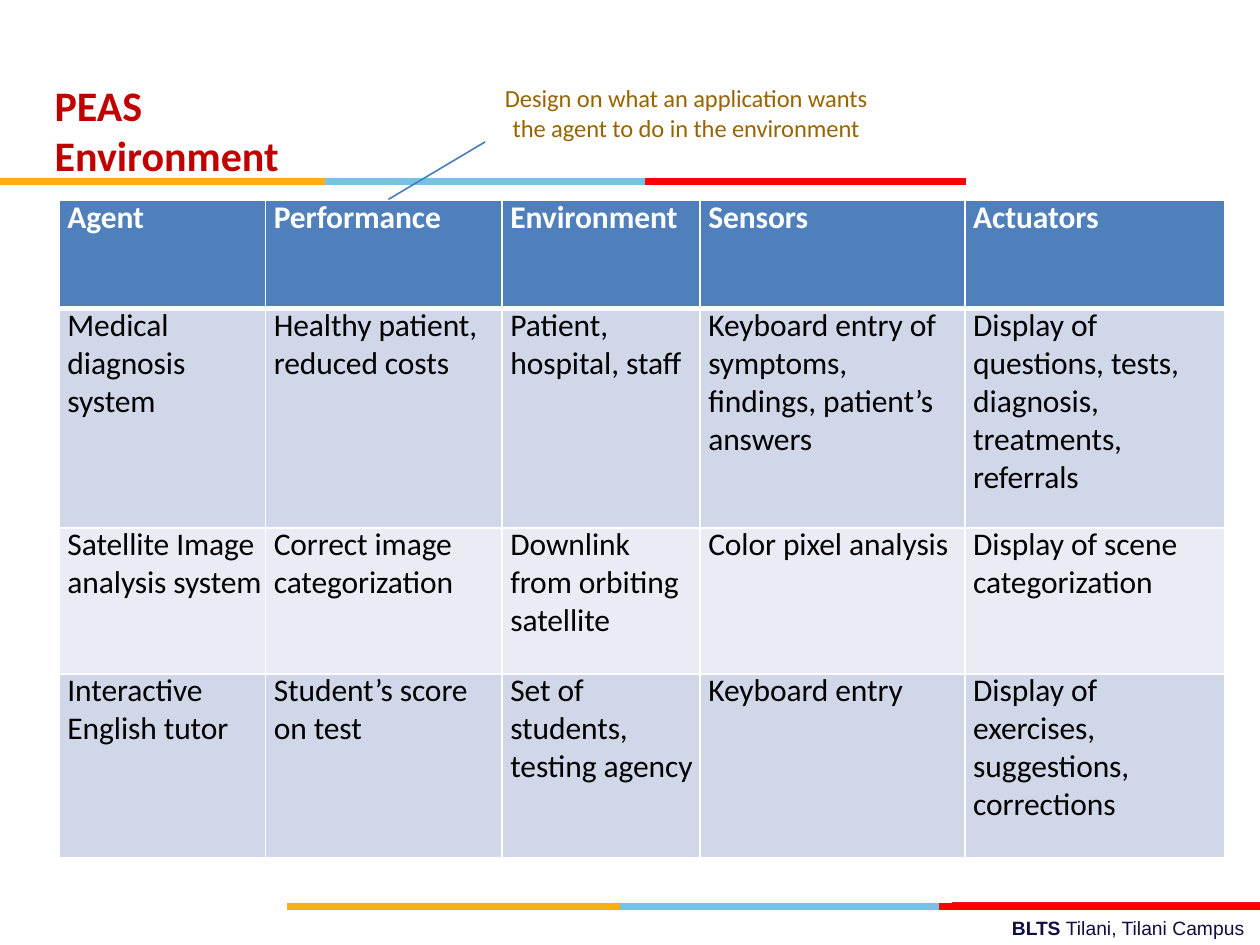
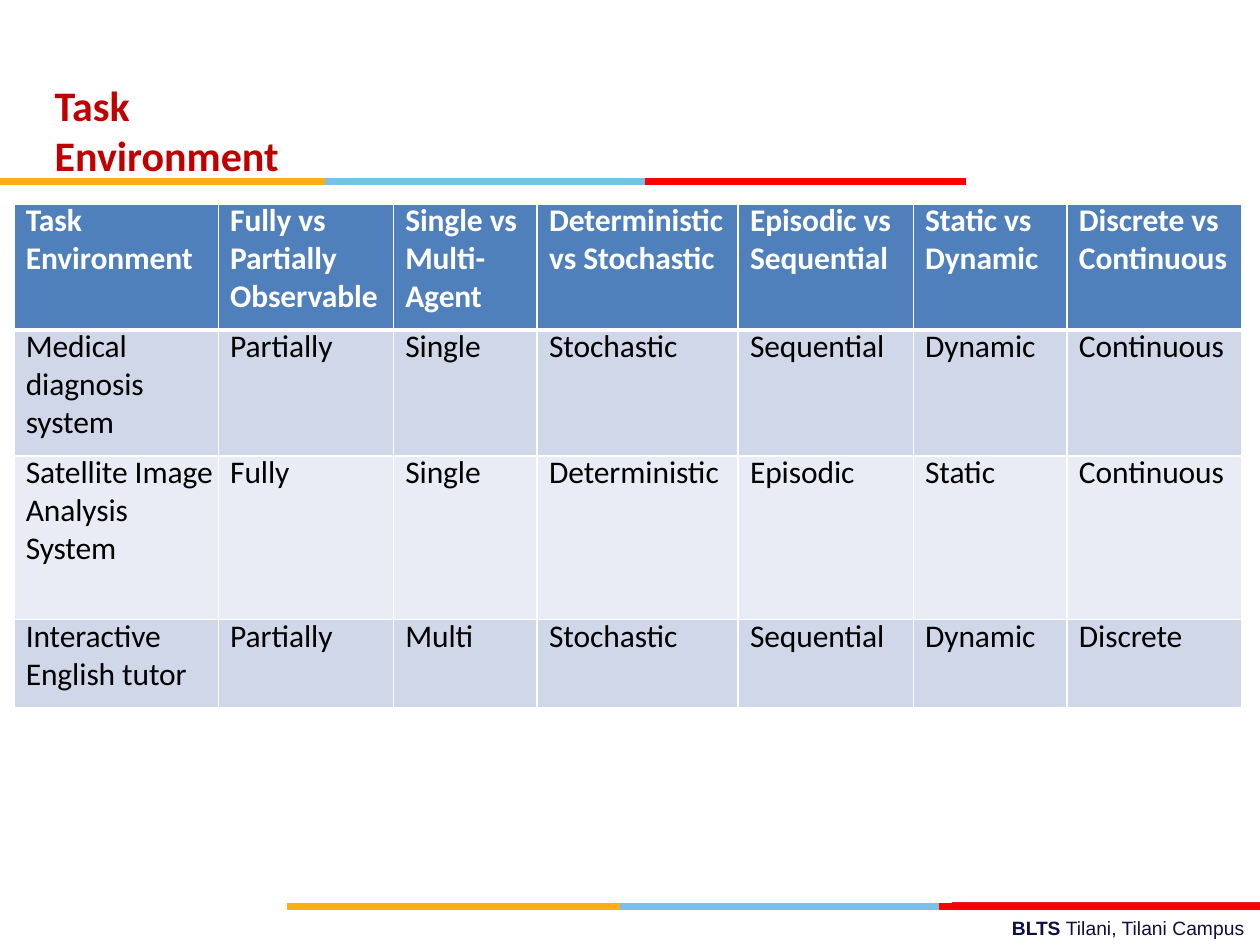
from lxml import etree
from pptx import Presentation
from pptx.dml.color import RGBColor
from pptx.enum.shapes import MSO_CONNECTOR
from pptx.enum.text import MSO_ANCHOR, PP_ALIGN
from pptx.oxml.ns import qn
from pptx.util import Cm, Pt

STRAIGHT = MSO_CONNECTOR.STRAIGHT
TOP = MSO_ANCHOR.TOP
LEFT, CENTER = PP_ALIGN.LEFT, PP_ALIGN.CENTER

COLOURS = {
    "orange": "FBAE16", "sky": "76C2E4", "red": "FF0000", "brick": "E21C22",
    "title": "C00000", "campus": "0E0F40", "note": "976400", "pointer": "487CB9",
    "header": "4F80BB", "odd_row": "D0D7E8", "even_row": "E9ECF4",
    "white": "FFFFFF", "black": "000000",
}

# Bands: start x, end x, y (cm), colour, width in points
BANDS = [
    (12.95, 19.33, 18.27, "sky", 4.08),
    (19.2, 25.4, 18.25, "brick", 3.84),
    (5.79, 12.95, 18.27, "orange", 4.08),
    (12.5, 18.95, 18.27, "sky", 3.84),
    (5.92, 12.5, 18.27, "orange", 3.84),
    (18.92, 25.4, 18.27, "red", 3.84),
    (6.55, 13.03, 3.66, "sky", 3.84),
    (0, 6.55, 3.66, "orange", 3.84),
    (13, 19.48, 3.66, "red", 3.84),
]

# Table text: one string per cell, one paragraph per line
PEAS_ROWS = [
    ["Agent", "Performance", "Environment", "Sensors", "Actuators"],
    ["Medical\ndiagnosis\nsystem", "Healthy patient,\nreduced costs",
     "Patient,\nhospital, staff",
     "Keyboard entry of\nsymptoms,\nfindings, patient’s\nanswers",
     "Display of\nquestions, tests,\ndiagnosis,\ntreatments,\nreferrals"],
    ["Satellite Image\nanalysis system", "Correct image\ncategorization",
     "Downlink\nfrom orbiting\nsatellite", "Color pixel analysis",
     "Display of scene\ncategorization"],
    ["Interactive\nEnglish tutor", "Student’s score\non test",
     "Set of\nstudents,\ntesting agency", "Keyboard entry",
     "Display of\nexercises,\nsuggestions,\ncorrections"],
]
TASK_ROWS = [
    ["Task\nEnvironment", "Fully vs\nPartially\nObservable", "Single vs\nMulti-\nAgent",
     "Deterministic\nvs Stochastic", "Episodic vs\nSequential", "Static vs\nDynamic",
     "Discrete vs\nContinuous"],
    ["Medical\ndiagnosis\nsystem", "Partially", "Single", "Stochastic", "Sequential",
     "Dynamic", "Continuous"],
    ["Satellite Image\nAnalysis\nSystem", "Fully", "Single", "Deterministic", "Episodic",
     "Static", "Continuous"],
    ["Interactive\nEnglish tutor", "Partially", "Multi", "Stochastic", "Sequential",
     "Dynamic", "Discrete"],
]


def rgb(colour):
    return RGBColor.from_string(COLOURS[colour])


def add_run(paragraph, text, size, colour, bold=False, font="Calibri", spacing=0):
    run = paragraph.add_run()
    run.text = text
    run.font.name = font
    run.font.size = Pt(size)
    run.font.bold = bold
    run.font.color.rgb = rgb(colour)
    if spacing:
        run.font._element.set("spc", str(spacing))


def prepare_frame(frame, align=LEFT):
    """Strip the insets and return the first paragraph."""
    frame.word_wrap = True
    frame.vertical_anchor = TOP
    frame.margin_left = frame.margin_right = frame.margin_bottom = 0
    frame.margin_top = Cm(0.03)
    frame.paragraphs[0].alignment = align
    return frame.paragraphs[0]


def add_line(slide, x1, y1, x2, y2, colour, width):
    line = slide.shapes.add_connector(STRAIGHT, Cm(x1), Cm(y1), Cm(x2), Cm(y2))
    line.line.color.rgb = rgb(colour)
    line.line.width = Pt(width)
    etree.SubElement(line._element.spPr, qn("a:effectLst"))


def add_text_box(slide, box, align=LEFT):
    text_box = slide.shapes.add_textbox(*map(Cm, box))
    return prepare_frame(text_box.text_frame, align)


def add_title(slide, text, box):
    title = slide.shapes.title
    title.left, title.top, title.width, title.height = map(Cm, box)
    heading = prepare_frame(title.text_frame)
    heading.space_before = Pt(1)
    add_run(heading, text, 24, "title", bold=True)


def add_campus_footer(slide, box):
    campus = add_text_box(slide, box)
    add_run(campus, "BLTS ", 11, "campus", bold=True, font="Arial", spacing=-5)
    add_run(campus, "Tilani, Tilani Campus", 11, "campus", font="Arial")


def add_framed_slide(prs, title, title_width):
    """Slide with the bands, title and footer that every slide carries."""
    slide = prs.slides.add_slide(prs.slide_layouts[5])
    for start, end, y, colour, width in BANDS:
        add_line(slide, start, y, end, y, colour, width)
    add_title(slide, title, (1.1, 1.57, title_width, 1.1))
    add_campus_footer(slide, (20.4, 18.44, 5, 0.55))
    return slide


def set_borders(cell, row):
    """White rules, thicker between the header and the first row."""
    widths = {"L": 1, "R": 1, "T": 3 if row == 1 else 1, "B": 3 if row == 0 else 1}
    properties = cell._tc.get_or_add_tcPr()
    for side, width in widths.items():
        border = etree.SubElement(properties, qn(f"a:ln{side}"), w=str(Pt(width)))
        fill = etree.SubElement(border, qn("a:solidFill"))
        etree.SubElement(fill, qn("a:srgbClr"), val=COLOURS["white"])


def fill_cell(cell, text, row, indent):
    cell.margin_left = Cm(indent)
    cell.margin_right = cell.margin_top = cell.margin_bottom = 0
    cell.vertical_anchor = TOP
    set_borders(cell, row)
    cell.fill.solid()
    cell.fill.fore_color.rgb = rgb(
        "header" if row == 0 else "odd_row" if row % 2 else "even_row")
    for index, line in enumerate(text.split("\n")):
        frame = cell.text_frame
        paragraph = frame.add_paragraph() if index else frame.paragraphs[0]
        paragraph.line_spacing = Pt(21.7 if index else 20.6)
        add_run(paragraph, line, 18, "black" if row else "white",
                bold=row == 0, spacing=-5)


def add_agent_table(slide, left, top, rows, column_widths, row_heights, indent):
    table = slide.shapes.add_table(
        len(rows), len(column_widths), Cm(left), Cm(top),
        Cm(sum(column_widths)), Cm(sum(row_heights))).table
    table.horz_banding = False
    for column, width in zip(table.columns, column_widths):
        column.width = Cm(width)
    for row, height in zip(table.rows, row_heights):
        row.height = Cm(height)
    for r, texts in enumerate(rows):
        for c, text in enumerate(texts):
            fill_cell(table.cell(r, c), text, r, indent)


def add_design_note(slide, box):
    """Remark on the performance column, with its pointer."""
    left, top = box[:2]
    add_line(slide, left - 0.3, top + 1.21, left - 2.25, top + 2.37, "pointer", 0.9)
    note = add_text_box(slide, box, CENTER)
    note.space_before = Pt(0.9)
    add_run(note, "Design on what an application wants the agent to do in the environment",
            14, "note", spacing=-5)


def build_peas_slide(prs):
    slide = add_framed_slide(prs, "PEAS Environment", 5.74)
    add_design_note(slide, (10.08, 1.65, 7.5, 1.24))
    add_agent_table(slide, 1.19, 4.04, PEAS_ROWS, [4.16, 4.77, 3.99, 5.34, 5.24],
                    [2.18, 4.42, 2.95, 3.71], 0.17)


def build_task_slide(prs):
    slide = add_framed_slide(prs, "Task Environment", 5.49)
    add_agent_table(slide, 0.28, 4.11, TASK_ROWS,
                    [4.12, 3.53, 2.9, 4.05, 3.53, 3.1, 3.53],
                    [2.54, 2.54, 3.3, 1.78], 0.24)


def main():
    prs = Presentation()
    prs.slide_width, prs.slide_height = Cm(25.4), Cm(19.05)
    build_peas_slide(prs)
    build_task_slide(prs)
    prs.save("out.pptx")


if __name__ == "__main__":
    main()
